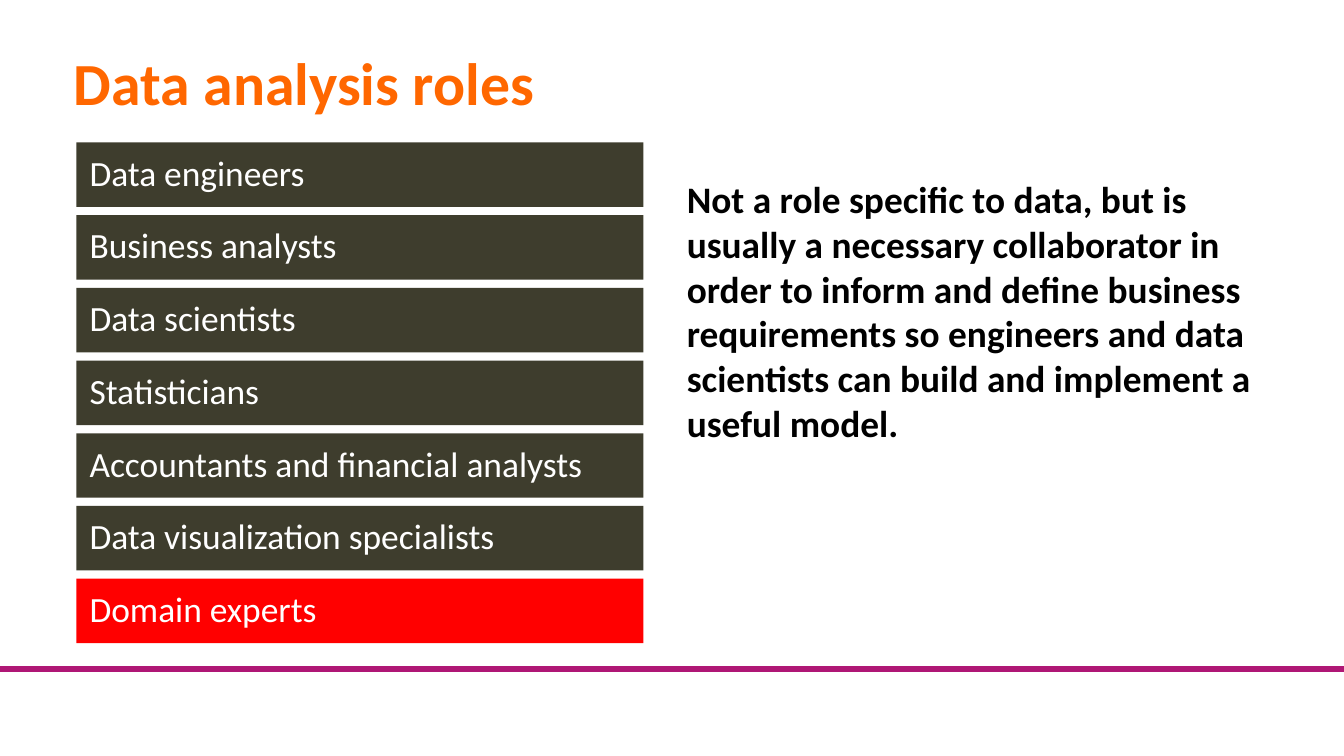
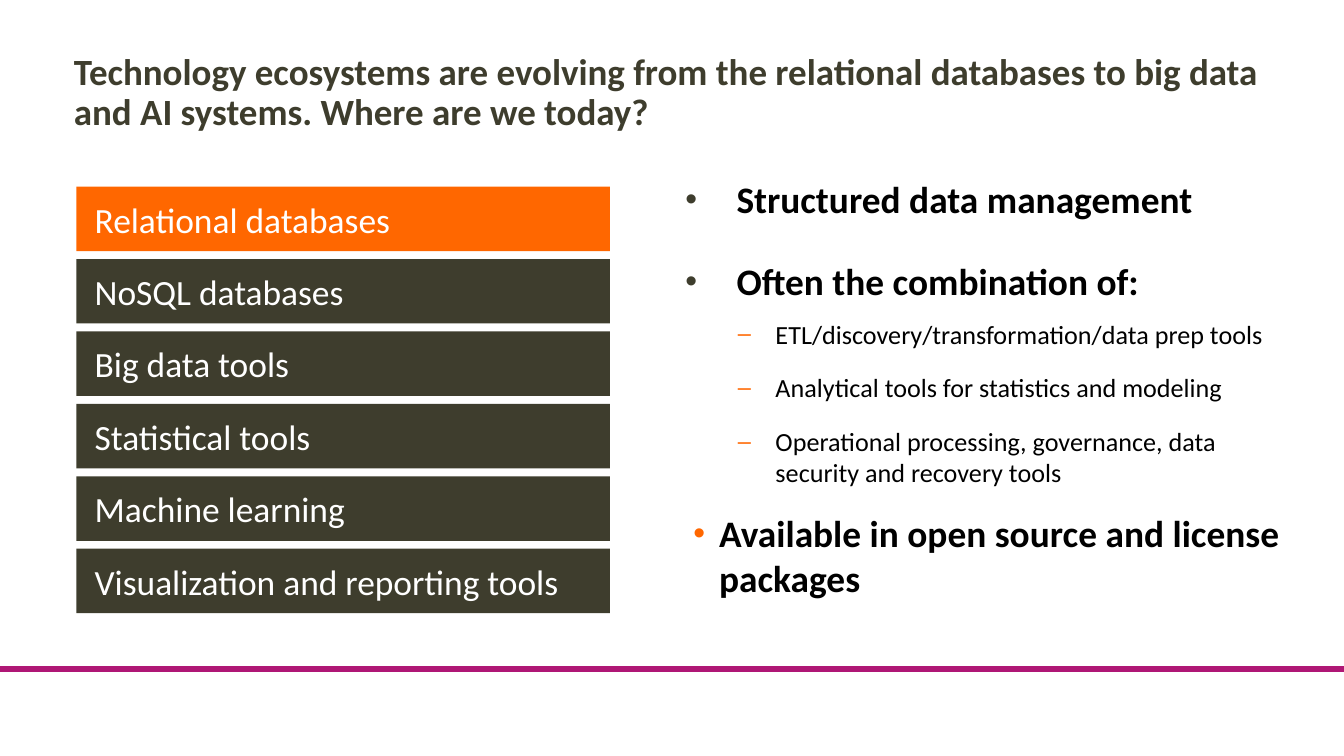
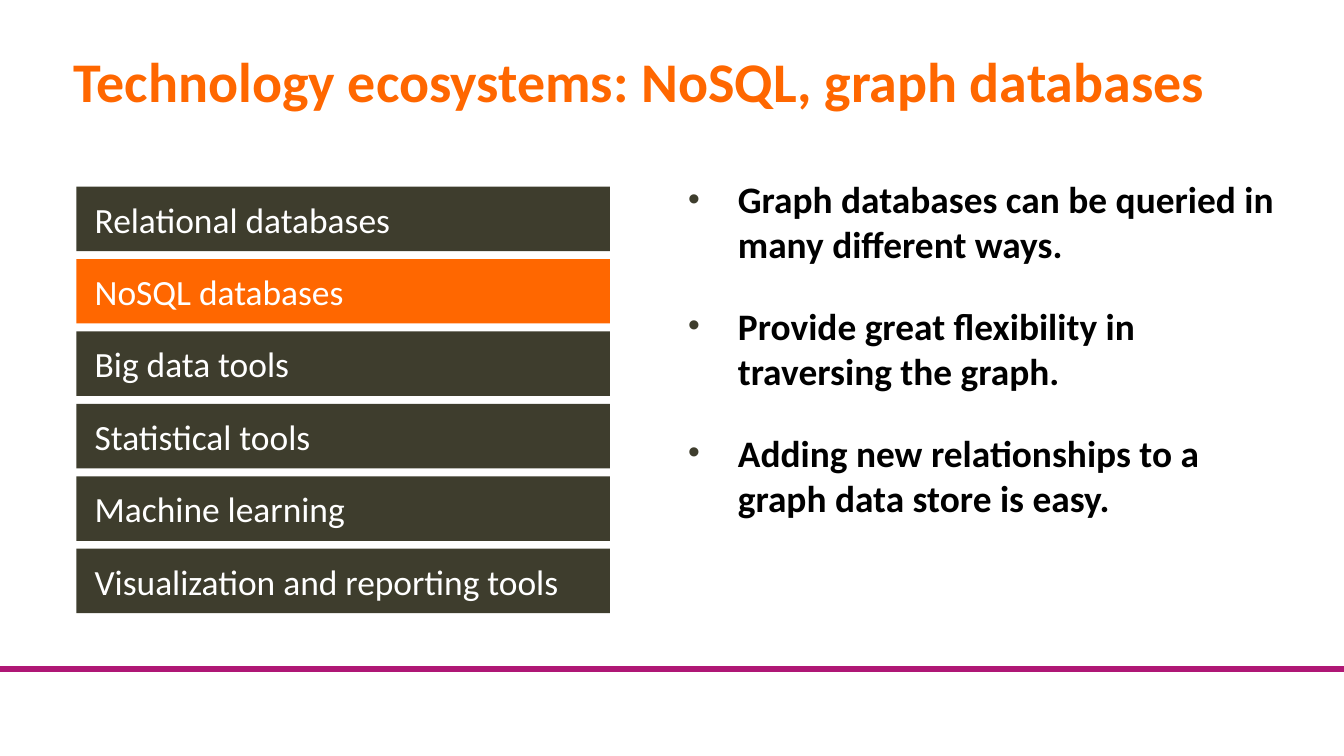
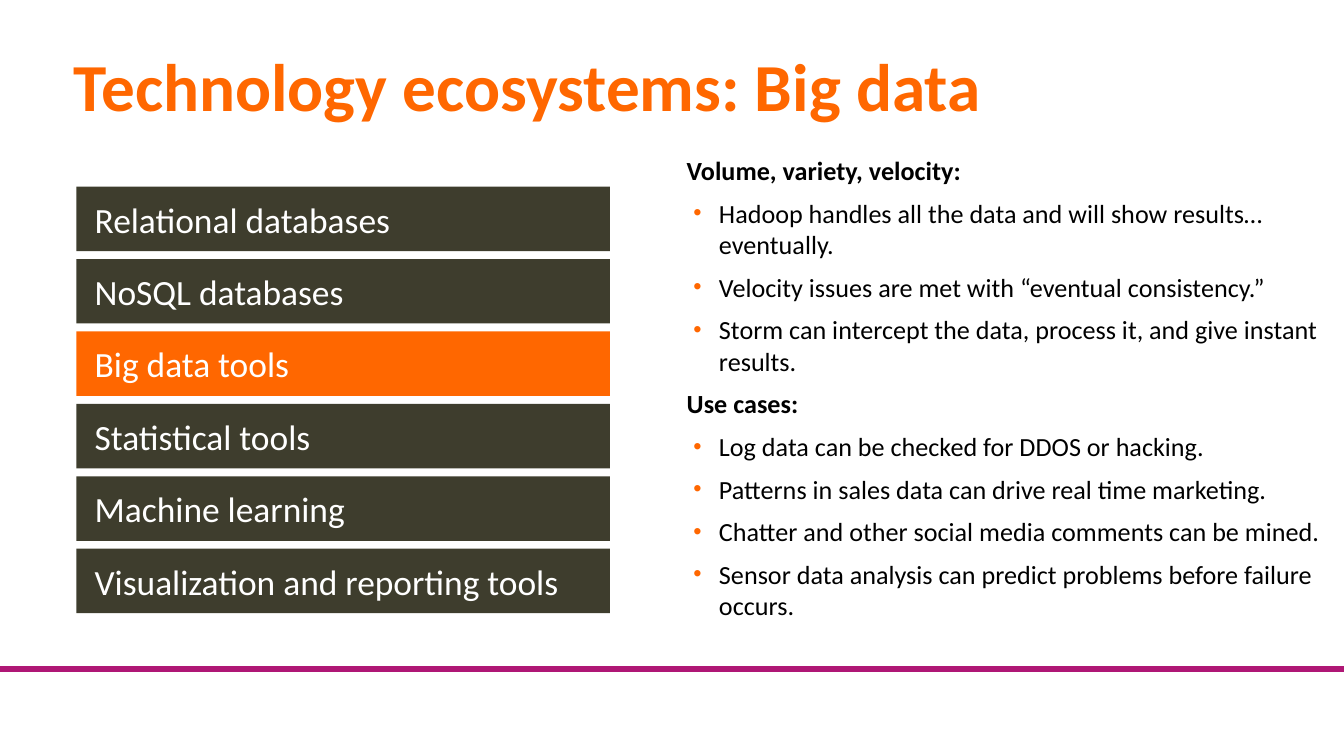
from dataclasses import dataclass

from lxml import etree
from pptx import Presentation
from pptx.dml.color import RGBColor
from pptx.enum import shapes, text
from pptx.oxml import ns
from pptx import util as u

COLORS = {
    "orange": "FF6700",
    "olive": "3E3D2D",
    "red": "FF0000",
    "magenta": "AF1775",
    "black": "000000",
    "white": "FFFFFF",
}
FONT = "Calibri"

# A 16:9 slide on a grid of square cells, 100 columns wide
WIDTH = u.Inches(10)
HEIGHT = u.Emu(WIDTH * 9 // 16)
COLUMNS = 100
CELL = WIDTH / COLUMNS
LEFT_EDGE, BAR_HEIGHT = 5.68, 4.8


@dataclass
class Level:
    """How one kind of paragraph looks: indents in cells, the rest in points."""
    size: float = 20
    bold: bool = True
    depth: int = 0
    margin: float = 0.1
    indent: float = 0
    before: float = 12
    after: float = 8
    bullet: str = ""
    bullet_color: str = "orange"


STATEMENT = Level()
POINT = Level(margin=3.8, indent=-3.8, bullet="•", bullet_color="olive")
GRAPH_POINT = Level(margin=3.9, indent=-3.7, bullet="•", bullet_color="olive")
DETAIL = Level(14, False, 2, 6.7, -2.8, 0, 12, "–")
CLOSING = Level(20, True, 1, 2.5, -1.9, 0, 12, "•")
HEADING = Level(14, before=3, after=3)
FACT = Level(14, False, 1, 2.5, -1.9, 3, 3, "•")


def cells(count):
    return u.Emu(round(count * CELL))


class Deck:
    def __init__(self):
        self.prs = Presentation()
        self.prs.slide_width, self.prs.slide_height = WIDTH, HEIGHT
        self.slide = None

    def color(self, name):
        return RGBColor.from_string(COLORS[name])

    def new_slide(self, title, size, color="orange"):
        self.slide = self.prs.slides.add_slide(self.prs.slide_layouts[6])
        self.footer_line()
        frame = self.text_box(5.5, 4, 90.1, 6.5)
        frame.text = title
        frame.paragraphs[0].line_spacing = 0.9
        self.style(frame.paragraphs[0], size, color, True)

    def footer_line(self):
        line = self.slide.shapes.add_connector(
            shapes.MSO_CONNECTOR.STRAIGHT, 0, cells(49.8), WIDTH, cells(49.8))
        line.line.color.rgb = self.color("magenta")
        line.line.width = u.Pt(3)
        etree.SubElement(line._element.spPr, ns.qn("a:effectLst"))

    def style(self, paragraph, size, color, bold=False):
        for run in paragraph.runs:
            run.font.name = FONT
            run.font.size = u.Pt(size)
            run.font.bold = bold
            run.font.color.rgb = self.color(color)

    def inset(self, frame, margin):
        frame.word_wrap = True
        frame.margin_left = frame.margin_right = cells(margin)
        frame.margin_top = frame.margin_bottom = cells(margin)

    def text_box(self, *place):
        frame = self.slide.shapes.add_textbox(*map(cells, place)).text_frame
        self.inset(frame, 0)
        return frame

    def bars(self, labels, active, accent, top, pitch, width, margin, spacing):
        """A column of labelled bars with one of them picked out."""
        for row, label in enumerate(labels):
            bar = self.slide.shapes.add_shape(
                shapes.MSO_SHAPE.RECTANGLE, cells(LEFT_EDGE),
                cells(top + row * pitch), cells(width), cells(BAR_HEIGHT))
            bar.shadow.inherit = False
            bar.fill.solid()
            bar.fill.fore_color.rgb = self.color(accent if label == active else "olive")
            bar.line.fill.background()
            frame = bar.text_frame
            self.inset(frame, margin)
            frame.vertical_anchor = text.MSO_ANCHOR.MIDDLE
            frame.text = label
            frame.paragraphs[0].alignment = text.PP_ALIGN.LEFT
            frame.paragraphs[0].line_spacing = spacing
            self.style(frame.paragraphs[0], 19, "white")

    def body(self, lines, top=13.1, width=44.5, height=36.5):
        frame = self.text_box(51, top, width, height)
        for number, (level, words) in enumerate(lines):
            paragraph = frame.add_paragraph() if number else frame.paragraphs[0]
            paragraph.text = words
            self.indent(paragraph, level)
            paragraph.level = level.depth
            paragraph.space_before = u.Pt(level.before if number else 0)
            paragraph.space_after = u.Pt(level.after)
            self.style(paragraph, level.size, "black", level.bold)

    def indent(self, paragraph, level):
        props = paragraph._p.get_or_add_pPr()
        props.set("marL", str(cells(level.margin)))
        props.set("indent", str(cells(level.indent)))
        if level.bullet:
            tint = etree.SubElement(props, ns.qn("a:buClr"))
            etree.SubElement(tint, ns.qn("a:srgbClr"), val=COLORS[level.bullet_color])
            etree.SubElement(props, ns.qn("a:buSzPct"), val="90000")
            etree.SubElement(props, ns.qn("a:buFont"), typeface="Arial")
            etree.SubElement(props, ns.qn("a:buChar"), char=level.bullet)


ROLES = [
    "Data engineers", "Business analysts", "Data scientists", "Statisticians",
    "Accountants and financial analysts", "Data visualization specialists",
    "Domain experts",
]
ECOSYSTEM = [
    "Relational databases", "NoSQL databases", "Big data tools",
    "Statistical tools", "Machine learning", "Visualization and reporting tools",
]


def ecosystem_bars(deck, active):
    deck.bars(ECOSYSTEM, active, "orange", top=13.88, pitch=5.39, width=39.7,
              margin=1.37, spacing=1.0)


def main():
    deck = Deck()

    # Roles
    deck.new_slide("Data analysis roles", 32)
    deck.body([(STATEMENT, "Not a role specific to data, but is usually a necessary "
                           "collaborator in order to inform and define business "
                           "requirements so engineers and data scientists can build "
                           "and implement a useful model.")])
    deck.bars(ROLES, "Domain experts", "red", top=10.6, pitch=5.41, width=42.2,
              margin=1, spacing=0.9)

    # Relational databases
    deck.new_slide("Technology ecosystems are evolving from the relational databases "
                   "to big data and AI systems. Where are we today?", 19.8, "olive")
    deck.body([
        (POINT, "Structured data management"),
        (POINT, "Often the combination of:"),
        (DETAIL, "ETL/discovery/transformation/data prep tools"),
        (DETAIL, "Analytical tools for statistics and modeling"),
        (DETAIL, "Operational processing, governance, data security and recovery tools"),
        (CLOSING, "Available in open source and license packages"),
    ])
    ecosystem_bars(deck, "Relational databases")

    # Graph databases
    deck.new_slide("Technology ecosystems: NoSQL, graph databases", 30)
    deck.body([
        (GRAPH_POINT, "Graph databases can be queried in many different ways."),
        (GRAPH_POINT, "Provide great flexibility in traversing the graph."),
        (GRAPH_POINT, "Adding new relationships to a graph data store is easy."),
    ])
    ecosystem_bars(deck, "NoSQL databases")

    # Big data
    deck.new_slide("Technology ecosystems: Big data", 36)
    deck.body([
        (HEADING, "Volume, variety, velocity:"),
        (FACT, "Hadoop handles all the data and will show results… eventually."),
        (FACT, "Velocity issues are met with “eventual consistency.”"),
        (FACT, "Storm can intercept the data, process it, and give instant results."),
        (HEADING, "Use cases:"),
        (FACT, "Log data can be checked for DDOS or hacking."),
        (FACT, "Patterns in sales data can drive real time marketing."),
        (FACT, "Chatter and other social media comments can be mined."),
        (FACT, "Sensor data analysis can predict problems before failure occurs."),
    ], top=11.5, width=47.3, height=38.1)
    ecosystem_bars(deck, "Big data tools")

    deck.prs.save("out.pptx")


if __name__ == "__main__":
    main()
